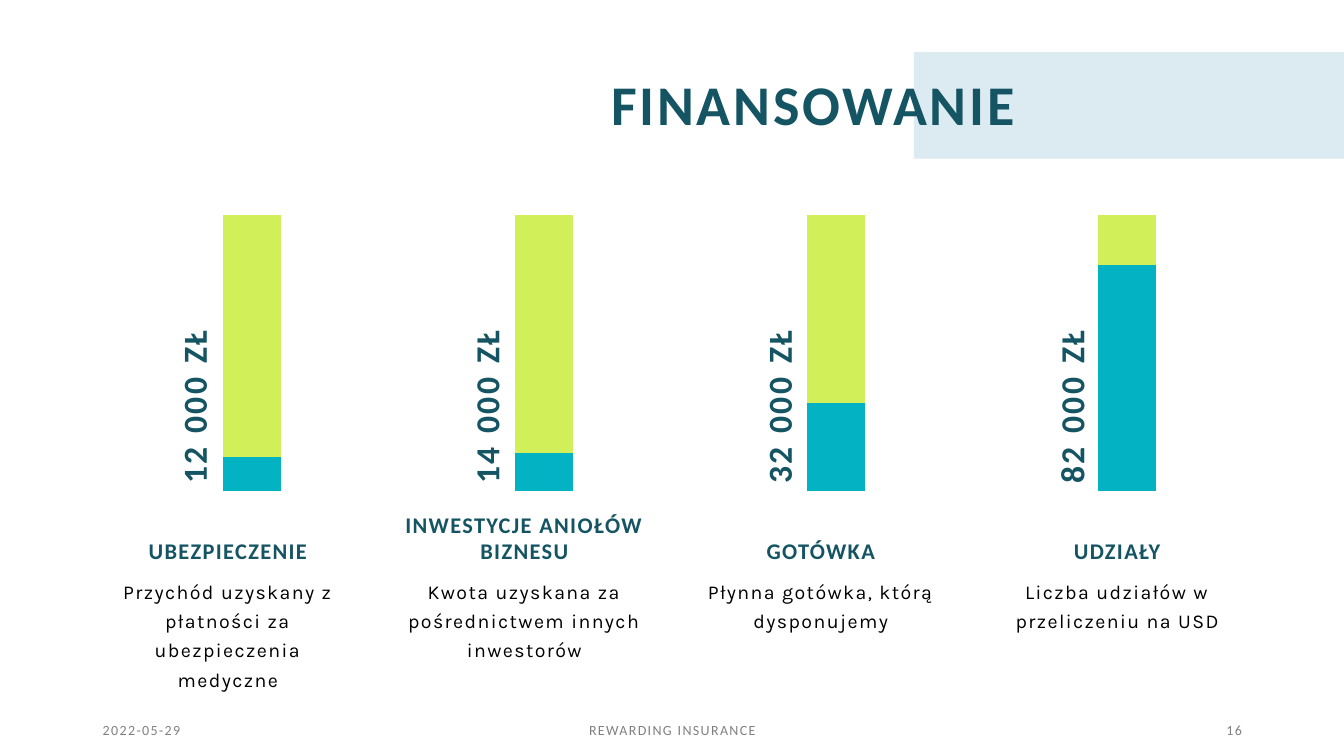
import lxml.etree
import pptx
import pptx.chart.data
import pptx.dml.color
import pptx.enum.chart
import pptx.enum.shapes
import pptx.enum.text
import pptx.oxml
import pptx.oxml.ns
import pptx.util

Cm = pptx.util.Cm
Pt = pptx.util.Pt
RGBColor = pptx.dml.color.RGBColor
Align = pptx.enum.text.PP_ALIGN
Anchor = pptx.enum.text.MSO_ANCHOR

NAVY = RGBColor(0x15, 0x54, 0x63)
TEAL = RGBColor(0x04, 0xB3, 0xC3)
LIME = RGBColor(0xD1, 0xEF, 0x59)
PALE_BLUE = RGBColor(0xDC, 0xEA, 0xF1)
GREY = RGBColor(0x80, 0x80, 0x80)
BLACK = RGBColor(0, 0, 0)

SOURCES = [
    ("12 000 ZŁ", (14, 100), "UBEZPIECZENIE",
     "Przychód uzyskany z płatności za ubezpieczenia medyczne"),
    ("14 000 ZŁ", (16, 100), "INWESTYCJE ANIOŁÓW BIZNESU",
     "Kwota uzyskana za pośrednictwem innych inwestorów"),
    ("32 000 ZŁ", (47, 100), "GOTÓWKA", "Płynna gotówka, którą dysponujemy"),
    ("82 000 ZŁ", (100, 22), "UDZIAŁY", "Liczba udziałów w przeliczeniu na USD"),
]
FOOTERS = [
    ("2022-05-29", 2.34, 7.62, Align.LEFT),
    ("REWARDING INSURANCE", 11.23, 11.43, Align.CENTER),
    ("16", 23.93, 7.62, Align.RIGHT),
]


class FundingSlide:
    """Holds the fonts and the current slide, and adds its elements."""

    heading_font = "Calibri"
    body_font = "Karla"

    def __init__(self, page):
        """Keep the page to draw on."""
        self.page = page

    def fill_text(self, box, text, size, color, font=heading_font, bold=False, tracking=1,
                  align=Align.LEFT, anchor=Anchor.TOP, leading=None, before=0):
        """Put one formatted paragraph into a box."""
        frame = box.text_frame
        frame.text = text
        frame.word_wrap = True
        frame.auto_size = pptx.enum.text.MSO_AUTO_SIZE.NONE
        frame.vertical_anchor = anchor
        para = frame.paragraphs[0]
        para.alignment = align
        para.line_spacing = leading
        para.space_before = Pt(before)
        span = para.runs[0]
        span.font.name = font
        span.font.size = Pt(size)
        span.font.bold = bold
        span.font.color.rgb = color
        span.font._element.set("spc", str(tracking * 100))

    def text(self, place, text, size, color, **style):
        """Add a text box at a place given in centimetres."""
        box = self.page.shapes.add_textbox(*map(Cm, place))
        self.fill_text(box, text, size, color, **style)
        return box

    def title(self, place, text):
        """Move and format the title placeholder."""
        box = self.page.shapes.title
        box.left, box.top, box.width, box.height = map(Cm, place)
        self.fill_text(box, text, 40, NAVY, bold=True, tracking=2,
                       align=Align.RIGHT, anchor=Anchor.MIDDLE, leading=0.8)

    def band(self, place, color):
        """Add a plain rectangle behind the title."""
        band = self.page.shapes.add_shape(
            pptx.enum.shapes.MSO_SHAPE.RECTANGLE, *map(Cm, place))
        band.shadow.inherit = False
        band.fill.solid()
        band.fill.fore_color.rgb = color
        band.line.fill.background()
        self.page.shapes.title._element.addprevious(band._element)

    def bar(self, place, values):
        """Add a single stacked column that fills its plot area."""
        data = pptx.chart.data.CategoryChartData()
        data.categories = ["1"]
        for number, value in enumerate(values, 1):
            data.add_series(f"Series {number}", [value])
        chart = self.page.shapes.add_chart(
            pptx.enum.chart.XL_CHART_TYPE.COLUMN_STACKED, *map(Cm, place), data).chart
        chart.has_title = False
        chart.has_legend = False
        chart.font.name = self.body_font
        chart.font.size = Pt(10)
        chart.font.color.rgb = BLACK
        chart.category_axis.visible = False
        chart.value_axis.visible = False
        chart.value_axis.has_major_gridlines = False
        chart.value_axis.minimum_scale = 0
        chart.value_axis.maximum_scale = sum(values)
        plot = chart.plots[0]
        plot.overlap = 100
        plot.gap_width = 0
        plot.vary_by_categories = False
        for series, color in zip(plot.series, (TEAL, LIME)):
            series.format.fill.solid()
            series.format.fill.fore_color.rgb = color
        self.fit_plot(chart, x=0.305, y=0.176, w=0.39, h=0.804)

    def fit_plot(self, chart, **fractions):
        """Fix the inner plot area as fractions of the chart."""
        qn = pptx.oxml.ns.qn
        area = chart._chartSpace.find(".//" + qn("c:plotArea"))
        for layout in area.findall(qn("c:layout")):
            area.remove(layout)
        layout = lxml.etree.Element(qn("c:layout"))
        manual = lxml.etree.SubElement(layout, qn("c:manualLayout"))
        settings = {"layoutTarget": "inner", "xMode": "edge", "yMode": "edge", **fractions}
        for name, value in settings.items():
            lxml.etree.SubElement(manual, qn("c:" + name), val=str(value))
        area.insert(0, layout)

    def source(self, column, amount, values, label, description):
        """Add one funding source: amount, bar, label and description."""
        box = self.text((1.57 + 7.37 * column, 8.51, 6.63, 1.24), amount, 24, NAVY,
                        bold=True, tracking=2, anchor=Anchor.BOTTOM, leading=0.8, before=10)
        box.rotation = 270
        self.bar((4.48 + 7.35 * column, 3.91, 3.76, 8.64), values)
        left = 2.34 + 7.47 * column
        self.text((left, 12.57, 6.81, 1.78), label, 16, NAVY, bold=True,
                  align=Align.CENTER, anchor=Anchor.BOTTOM)
        self.text((left, 14.33, 6.81, 2.79), description, 14, BLACK,
                  font=self.body_font, align=Align.CENTER, leading=1.25)


def main():
    """Build and save the deck."""
    deck = pptx.Presentation()
    deck.slide_width, deck.slide_height = Cm(33.87), Cm(19.05)
    slide = FundingSlide(deck.slides.add_slide(deck.slide_layouts[5]))
    slide.band((23.03, 1.31, 10.84, 2.69), PALE_BLUE)
    slide.title((14.15, 1.83, 11.68, 1.85), "FINANSOWANIE")
    for column, source in enumerate(SOURCES):
        slide.source(column, *source)
    for text, left, width, align in FOOTERS:
        slide.text((left, 18.11, width, 0.56), text, 10, GREY,
                   align=align, anchor=Anchor.MIDDLE)
    deck.save("out.pptx")


if __name__ == "__main__":
    main()
